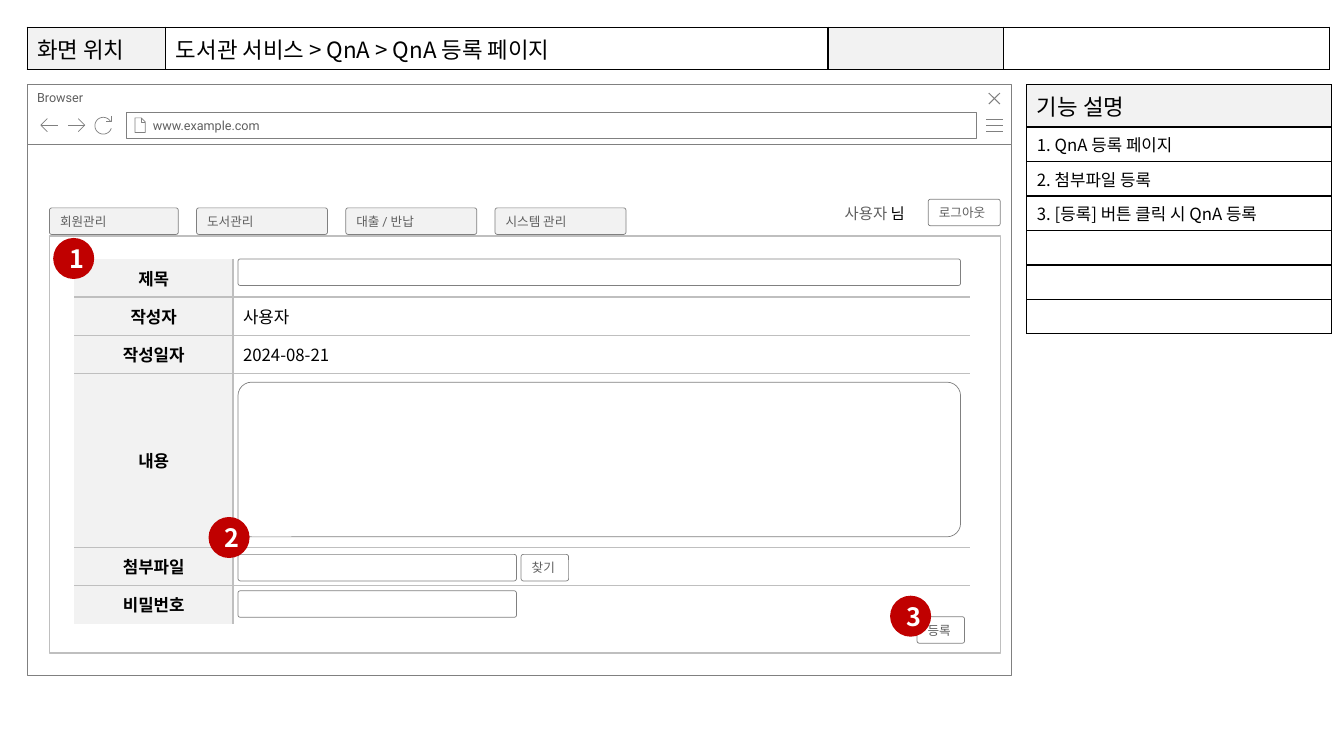
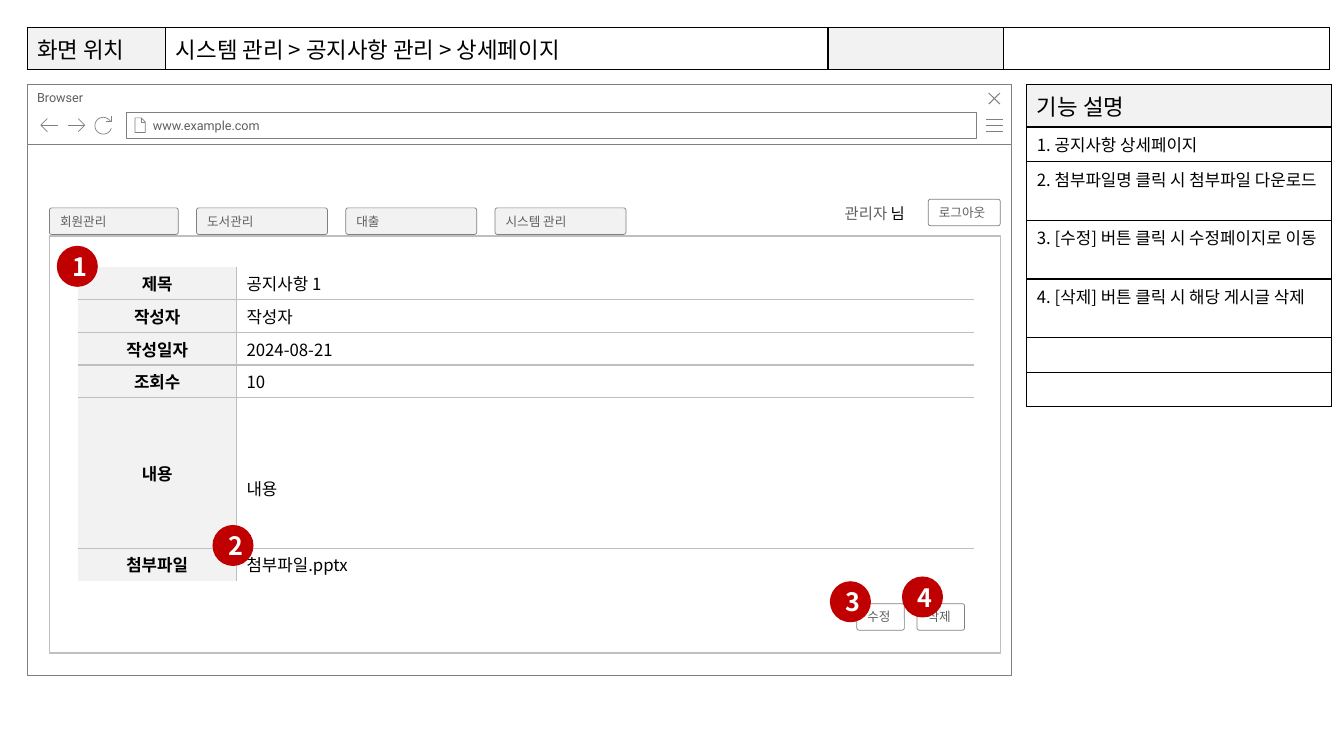
import math

from lxml import etree
from pptx import Presentation
from pptx.dml.color import RGBColor
from pptx.enum.shapes import MSO_SHAPE
from pptx.enum.text import MSO_ANCHOR, PP_ALIGN
from pptx.oxml.ns import qn
from pptx.util import Pt

RECTANGLE, ROUNDED, OVAL = MSO_SHAPE.RECTANGLE, MSO_SHAPE.ROUNDED_RECTANGLE, MSO_SHAPE.OVAL
TOP, MIDDLE = MSO_ANCHOR.TOP, MSO_ANCHOR.MIDDLE
LEFT, CENTER = PP_ALIGN.LEFT, PP_ALIGN.CENTER

COLORS = {"black": "000000", "white": "FFFFFF", "label": "F2F2F2", "outline": "808080",
          "grid": "BFBFBF", "control": "5F5F5F", "badge": "C00000"}
KOREAN, LATIN = "Noto Sans CJK KR", "Roboto"
HEADING = {"name": KOREAN, "size": Pt(16), "bold": False, "color": "black"}
BODY = {**HEADING, "size": Pt(12)}
FIELD_LABEL = {**BODY, "bold": True}
BADGE = {**HEADING, "size": Pt(18), "bold": True, "color": "white"}
CONTROL = {"name": LATIN, "size": Pt(9), "bold": False, "color": "control"}
USER = {**CONTROL, "size": Pt(11)}

PAGE_LEFT, FRAME_TOP, FRAME_WIDTH = 19.4, 60.5, 703.4
PANEL_LEFT, PANEL_TOP = 35.3, 168.5
CONTROL_HEIGHT, BUTTON_WIDTH, BADGE_SIZE = 19, 34, 29.3
FIELD_LEFT, LONG_FIELD, SHORT_FIELD = 170, 516.2, 199
LINE_HEIGHT, CELL_PADDING = 17.4, 7.2

SCREENS = [
    {
        "location": "도서관 서비스 > QnA > QnA 등록 페이지",
        "user": "사용자",
        "tabs": ["회원관리", "도서관리", "대출 / 반납", "시스템 관리"],
        "notes": [("1. QnA 등록 페이지", 1), ("2. 첨부파일 등록", 1),
                  ("3. [등록] 버튼 클릭 시 QnA 등록", 1), ("", 1), ("", 1), ("", 1)],
        "form_at": (53.2, 185),
        "form": [("제목", "", 27.2), ("작성자", "사용자", 27.2), ("작성일자", "2024-08-21", 27.2),
                 ("내용", "", 124.6), ("첨부파일", "", 27.2), ("비밀번호", "", 27.2)],
        "fields": [(185, LONG_FIELD, CONTROL_HEIGHT), (273, LONG_FIELD, 110.5),
                   (396, SHORT_FIELD, CONTROL_HEIGHT), (422, SHORT_FIELD, CONTROL_HEIGHT)],
        "buttons": [("찾기", 372.2, 396), ("등록", 655, 440.5)],
        "badges": [(38, 170), (149, 369.3), (635.8, 425.5)],
    },
    {
        "location": "시스템 관리 > 공지사항 관리 > 상세페이지",
        "user": "관리자",
        "tabs": ["회원관리", "도서관리", "대출", "시스템 관리"],
        "notes": [("1. 공지사항 상세페이지", 1), ("2. 첨부파일명 클릭 시 첨부파일 다운로드", 2),
                  ("3. [수정] 버튼 클릭 시 수정페이지로 이동", 2),
                  ("4. [삭제] 버튼 클릭 시 해당 게시글 삭제", 2), ("", 1), ("", 1)],
        "form_at": (55.7, 190.6),
        "form": [("제목", "공지사항 1", 23.4), ("작성자", "작성자", 23.4),
                 ("작성일자", "2024-08-21", 23.4), ("조회수", "10", 23.4),
                 ("내용", "내용", 107.5), ("첨부파일", "첨부파일.pptx", 23.4)],
        "fields": [],
        "buttons": [("수정", 612, 431.2), ("삭제", 655, 431.2)],
        "badges": [(40.6, 175.6), (151.8, 375), (592.8, 415.2), (644.3, 411.8)],
    },
]


def color(name):
    return RGBColor.from_string(COLORS[name])


def set_attributes(target, values):
    for name, value in values.items():
        setattr(target, name, value)


def write(frame, runs, alignment=LEFT):
    """Fill the first paragraph with (text, style) runs; an empty text only sets the line size."""
    paragraph = frame.paragraphs[0]
    paragraph.alignment = alignment
    for text, style in runs:
        if not text:
            end = etree.SubElement(paragraph._p, qn("a:endParaRPr"))
            end.set("sz", str(int(style["size"].pt * 100)))
            continue
        run = paragraph.add_run()
        run.text = text
        set_attributes(run.font, {key: style[key] for key in ("name", "size", "bold")})
        run.font.color.rgb = color(style["color"])
        east_asian = etree.SubElement(run._r.get_or_add_rPr(), qn("a:ea"))
        east_asian.set("typeface", KOREAN)


def paint(shape, fill, line, width=0.5):
    shape.shadow.inherit = False
    if fill:
        shape.fill.solid()
        shape.fill.fore_color.rgb = color(fill)
    else:
        shape.fill.background()
    if line:
        shape.line.color.rgb = color(line)
        shape.line.width = Pt(width)
    else:
        shape.line.fill.background()


def add_box(slide, kind, box, fill="white", line="outline", width=0.5):
    shape = slide.shapes.add_shape(kind, *map(Pt, box))
    paint(shape, fill, line, width)
    if kind == ROUNDED:
        shape.adjustments[0] = 0.09 if box[3] < 50 else 0.088
    return shape


def add_control(slide, text, box, fill="white", wrap=False):
    shape = add_box(slide, ROUNDED, box, fill)
    set_attributes(shape.text_frame, {"word_wrap": wrap, "vertical_anchor": MIDDLE})
    write(shape.text_frame, [(text, CONTROL)])


def add_badge(slide, number, left, top):
    shape = add_box(slide, OVAL, (left, top, BADGE_SIZE, BADGE_SIZE), "badge", None)
    shape.text_frame.vertical_anchor = MIDDLE
    write(shape.text_frame, [(str(number), BADGE)], CENTER)


def add_icon(slide, strokes, width=0.5):
    """Draw one freeform from several open strokes of (x, y) points."""
    builder = None
    for stroke in strokes:
        start, *rest = [(Pt(x), Pt(y)) for x, y in stroke]
        if builder is None:
            builder = slide.shapes.build_freeform(*start, scale=1.0)
        else:
            builder.move_to(*start)
        builder.add_line_segments(rest, close=False)
    paint(builder.convert_to_shape(), None, "outline", width)


def style_cell(cell, fill, border, sides):
    properties = cell._tc.get_or_add_tcPr()
    for side in "LRTB":
        line = etree.SubElement(properties, qn("a:ln" + side), w=str(Pt(1)))
        if side in sides:
            solid = etree.SubElement(line, qn("a:solidFill"))
            etree.SubElement(solid, qn("a:srgbClr"), val=COLORS[border])
        else:
            etree.SubElement(line, qn("a:noFill"))
    if fill:
        cell.fill.solid()
        cell.fill.fore_color.rgb = color(fill)
    else:
        cell.fill.background()


def add_grid(slide, left, top, widths, heights):
    table = slide.shapes.add_table(len(heights), len(widths), Pt(left), Pt(top),
                                   Pt(sum(widths)), Pt(sum(heights))).table
    set_attributes(table, {"first_row": False, "horz_banding": False})
    for column, width in zip(table.columns, widths):
        column.width = Pt(width)
    for row, height in zip(table.rows, heights):
        row.height = Pt(height)
    return table


def add_location_bar(slide, location):
    table = add_grid(slide, PAGE_LEFT, 19.4, [99.1, 473, 125.5, 232.6], [30.3])
    for index, text in enumerate(["화면 위치", location, "", ""]):
        cell = table.cell(0, index)
        style_cell(cell, None if index % 2 else "label", "black", "LRTB")
        write(cell.text_frame, [(text, HEADING)])


def add_notes(slide, notes):
    heights = [30.3] + [CELL_PADDING + LINE_HEIGHT * lines for _, lines in notes]
    table = add_grid(slide, 733.5, FRAME_TOP, [217.8], heights)
    for index, text in enumerate(["기능 설명"] + [text for text, _ in notes]):
        cell = table.cell(index, 0)
        style_cell(cell, None if index else "label", "black", "LRTB")
        write(cell.text_frame, [(text, BODY if index else HEADING)])


def add_form(slide, position, rows):
    table = add_grid(slide, *position, [113.2, 526.8], [height for _, _, height in rows])
    for index, (label, value, height) in enumerate(rows):
        sides = ("T" if index else "") + ("B" if index < len(rows) - 1 else "")
        columns = [(label, FIELD_LABEL, "label", "R", CENTER), (value, BODY, None, "L", LEFT)]
        for column, (text, style, fill, inner, alignment) in enumerate(columns):
            cell = table.cell(index, column)
            lowered = bool(column and height > 50)
            set_attributes(cell, {"vertical_anchor": MIDDLE, "margin_bottom": Pt(2),
                                  "margin_top": Pt(23 if lowered else 2)})
            style_cell(cell, fill, "grid", inner + sides)
            write(cell.text_frame, [(text, style)], alignment)


def add_browser(slide):
    add_box(slide, RECTANGLE, (PAGE_LEFT, 103, FRAME_WIDTH, 379.4))
    bar = add_box(slide, RECTANGLE, (PAGE_LEFT, FRAME_TOP, FRAME_WIDTH, 42.5))
    bar.text_frame.vertical_anchor = TOP
    write(bar.text_frame, [("Browser", CONTROL)])
    address = add_box(slide, RECTANGLE, (90.5, 80.2, 607, 18.7))
    set_attributes(address.text_frame, {"margin_left": Pt(18.7), "vertical_anchor": MIDDLE})
    write(address.text_frame, [("www.example.com", CONTROL)])

    menu = [[(704.4, y), (716.2, y)] for y in (85, 89.4, 93.8)]
    page = [[(100.8, 84.2), (100.8, 87.2), (103.8, 87.2)],
            [(96.4, 84.2), (96.4, 94.6), (103.8, 94.6), (103.8, 87.2), (100.8, 84.2), (96.4, 84.2)]]
    back = [[(33.9, 94.1), (29.2, 89.4), (33.9, 84.7)], [(29.2, 89.4), (41.2, 89.4)]]
    forward = [[(55.9, 84.7), (60.6, 89.4), (55.9, 94.1)], [(60.6, 89.4), (48.6, 89.4)]]
    arc = [(73.8 + 6 * math.cos(math.radians(angle)), 89.8 + 6 * math.sin(math.radians(angle)))
           for angle in range(18, 331, 12)]
    reload = [[(79.9, 82.8), (79.9, 86.6), (75.8, 86.6)], arc]
    for strokes in (menu, page, back, forward, reload):
        add_icon(slide, strokes)
    add_icon(slide, [[(714.2, 66.5), (706.3, 74.3)], [(706.3, 66.5), (714.2, 74.3)]], 0.75)


def move_to_layout(slide):
    """Hand the shapes drawn so far to the layout, so that every slide shows them."""
    layout = slide.slide_layout
    for placeholder in list(layout.placeholders):
        layout.shapes.element.remove(placeholder.element)
    for shape in list(slide.shapes):
        layout.shapes.element.append(shape.element)


def add_navigation(slide, tabs, user):
    add_box(slide, RECTANGLE, (PANEL_LEFT, PANEL_TOP, 679.5, 298), None, "grid", 1)
    add_control(slide, "로그아웃", (663, 142.3, 51.5, CONTROL_HEIGHT))
    greeting = slide.shapes.add_textbox(Pt(596.2), Pt(142.3), Pt(71.3), Pt(21))
    greeting.text_frame.word_wrap = True
    write(greeting.text_frame, [(user + " ", USER), ("님", {**BODY, "size": Pt(11)})])
    for index, tab in enumerate(tabs):
        right = 127.4 + 106.6 * index
        left = max(PANEL_LEFT, right - 93.6)
        add_control(slide, tab, (left, 148.5, right - left, CONTROL_HEIGHT), "label", True)


def add_screen(slide, screen):
    add_notes(slide, screen["notes"])
    add_location_bar(slide, screen["location"])
    add_navigation(slide, screen["tabs"], screen["user"])
    add_form(slide, screen["form_at"], screen["form"])
    for top, width, height in screen["fields"]:
        add_box(slide, ROUNDED, (FIELD_LEFT, top, width, height))
    for text, left, top in screen["buttons"]:
        add_control(slide, text, (left, top, BUTTON_WIDTH, CONTROL_HEIGHT))
    for number, position in enumerate(screen["badges"], start=1):
        add_badge(slide, number, *position)


def main():
    presentation = Presentation()
    set_attributes(presentation, {"slide_width": Pt(960), "slide_height": Pt(540)})
    blank = presentation.slide_layouts[6]
    slides = [presentation.slides.add_slide(blank) for _ in SCREENS]
    add_browser(slides[0])
    move_to_layout(slides[0])
    for slide, screen in zip(slides, SCREENS):
        add_screen(slide, screen)
    presentation.save("out.pptx")


if __name__ == "__main__":
    main()
